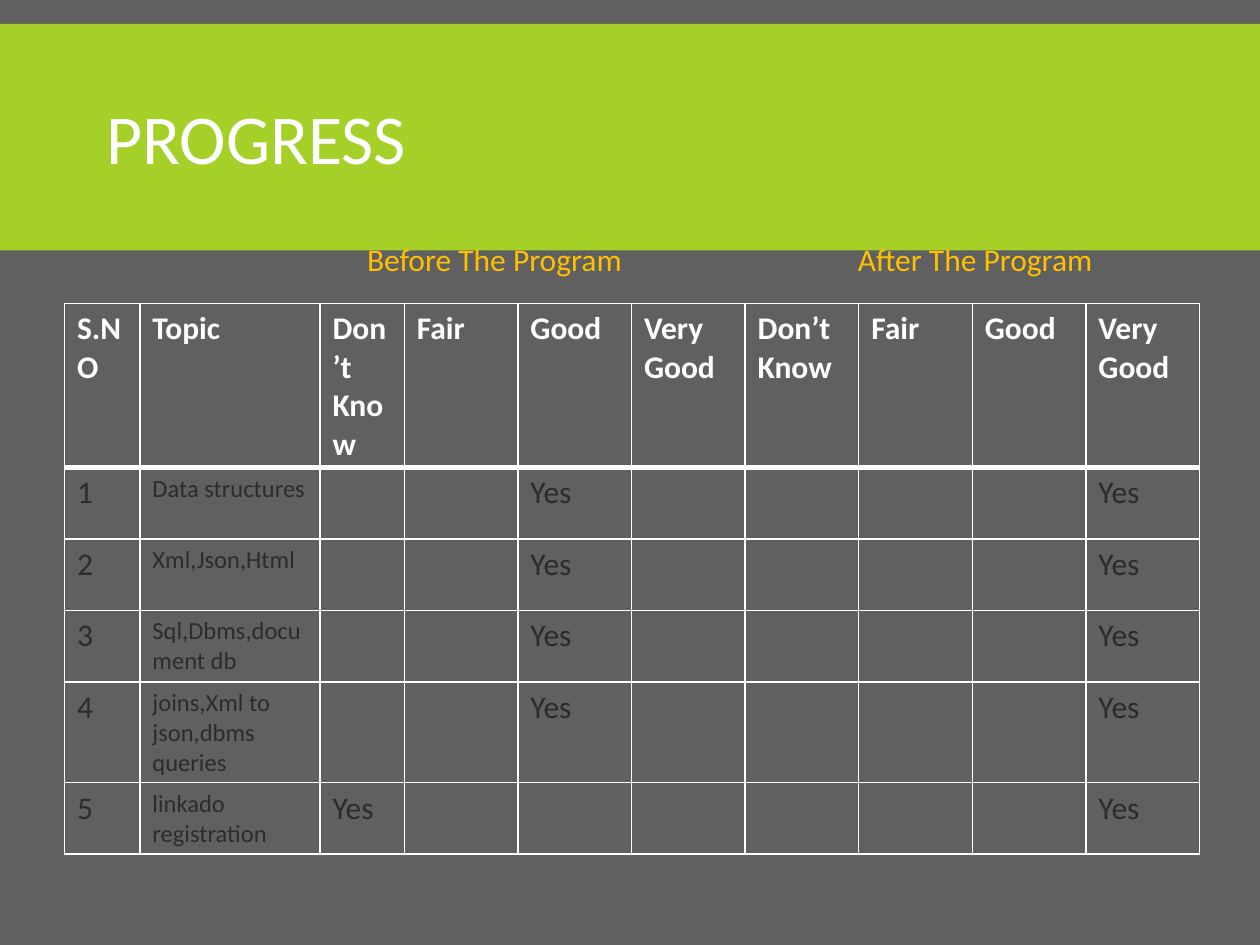
from lxml import etree
from pptx import Presentation
from pptx.dml.color import RGBColor
from pptx.enum.shapes import MSO_SHAPE
from pptx.enum.text import MSO_ANCHOR, PP_ALIGN
from pptx.oxml.ns import qn
from pptx.util import Cm, Pt

RECTANGLE = MSO_SHAPE.RECTANGLE
MIDDLE, TOP = MSO_ANCHOR.MIDDLE, MSO_ANCHOR.TOP
LEFT, CENTER = PP_ALIGN.LEFT, PP_ALIGN.CENTER

GREY = RGBColor(0x60, 0x60, 0x60)
GREEN = RGBColor(0xA5, 0xD0, 0x28)
WHITE = RGBColor(0xFF, 0xFF, 0xFF)
DARK = RGBColor(0x2C, 0x2C, 0x2C)
AMBER = RGBColor(0xFF, 0xC0, 0x00)
FONT = "Calibri"

RATINGS = ["Don’t Know", "Fair", "Good", "Very Good"]
HEADINGS = ["S.NO", "Topic"] + RATINGS * 2
# Topic lines, rating before, rating after
TOPICS = [
    (["Data structures"], "Good", "Very Good"),
    (["Xml,Json,Html"], "Good", "Very Good"),
    (["Sql,Dbms,document db"], "Good", "Very Good"),
    (["joins,Xml to json,dbms queries"], "Good", "Very Good"),
    (["linkado", "registration"], "Don’t Know", "Very Good"),
]
COLUMN_WIDTHS = [1.52, 3.63, 1.7] + [2.29] * 7
HEADER_HEIGHT, TOPIC_HEIGHT = 3.3, 1.44


def add_run(paragraph, text, size, color, bold=False):
    run = paragraph.add_run()
    run.text = text
    run.font.name = FONT
    run.font.size = Pt(size)
    run.font.bold = bold
    run.font.color.rgb = color


def add_banner(slide):
    banner = slide.shapes.add_shape(RECTANGLE, 0, Cm(0.48), Cm(25.4), Cm(4.57))
    banner.shadow.inherit = False
    banner.fill.solid()
    banner.fill.fore_color.rgb = GREEN
    banner.line.fill.background()


def add_label(slide, text, box, size, color, align=LEFT, anchor=TOP, indent=0.25):
    label = slide.shapes.add_textbox(*(Cm(length) for length in box))
    frame = label.text_frame
    frame.word_wrap = True
    frame.vertical_anchor = anchor
    frame.margin_left = Cm(indent)
    paragraph = frame.paragraphs[0]
    paragraph.alignment = align
    add_run(paragraph, text, size, color)
    return paragraph


def set_borders(cell, top, bottom):
    """Draw white borders; top and bottom are widths in points."""
    properties = cell._tc.get_or_add_tcPr()
    for side, width in (("L", 1), ("R", 1), ("T", top), ("B", bottom)):
        line = etree.SubElement(properties, qn(f"a:ln{side}"), w=str(Pt(width)))
        fill = etree.SubElement(line, qn("a:solidFill"))
        etree.SubElement(fill, qn("a:srgbClr"), val=str(WHITE))


def fill_cell(cell, lines, size, color, bold=False):
    frame = cell.text_frame
    for index, text in enumerate(lines):
        paragraph = frame.add_paragraph() if index else frame.paragraphs[0]
        add_run(paragraph, text, size, color, bold)


def add_progress_table(slide):
    row_heights = [HEADER_HEIGHT] + [TOPIC_HEIGHT] * len(TOPICS)
    table = slide.shapes.add_table(
        len(row_heights), len(HEADINGS), Cm(1.3), Cm(6.12),
        Cm(sum(COLUMN_WIDTHS)), Cm(sum(row_heights))).table
    table.horz_banding = False
    for column, width in zip(table.columns, COLUMN_WIDTHS):
        column.width = Cm(width)
    for index, (row, height) in enumerate(zip(table.rows, row_heights)):
        row.height = Cm(height)
        for cell in row.cells:
            set_borders(cell, 3 if index == 1 else 1, 3 if index == 0 else 1)
            cell.fill.background()

    for column, heading in enumerate(HEADINGS):
        fill_cell(table.cell(0, column), [heading], 18, WHITE, bold=True)
    before_start = len(HEADINGS) - 2 * len(RATINGS)
    after_start = before_start + len(RATINGS)
    for number, (topic, before, after) in enumerate(TOPICS, start=1):
        fill_cell(table.cell(number, 0), [str(number)], 18, DARK)
        fill_cell(table.cell(number, 1), topic, 14, DARK)
        for start, rating in ((before_start, before), (after_start, after)):
            column = start + RATINGS.index(rating)
            fill_cell(table.cell(number, column), ["Yes"], 18, DARK)


def main():
    presentation = Presentation()
    presentation.slide_width, presentation.slide_height = Cm(25.4), Cm(19.05)
    slide = presentation.slides.add_slide(presentation.slide_layouts[6])
    slide.background.fill.solid()
    slide.background.fill.fore_color.rgb = GREY

    add_banner(slide)
    title = add_label(slide, "PROGRESS", (1.9, 0.79, 21.6, 4.19), 40, WHITE,
                      anchor=MIDDLE)
    title.line_spacing = 0.85
    add_progress_table(slide)
    add_label(slide, "Before The Program", (6.43, 4.72, 8.46, 1.02), 18, AMBER,
              indent=0.97)
    add_label(slide, "After The Program", (15.01, 4.72, 9.3, 1.02), 18, AMBER,
              align=CENTER)
    presentation.save("out.pptx")


if __name__ == "__main__":
    main()
